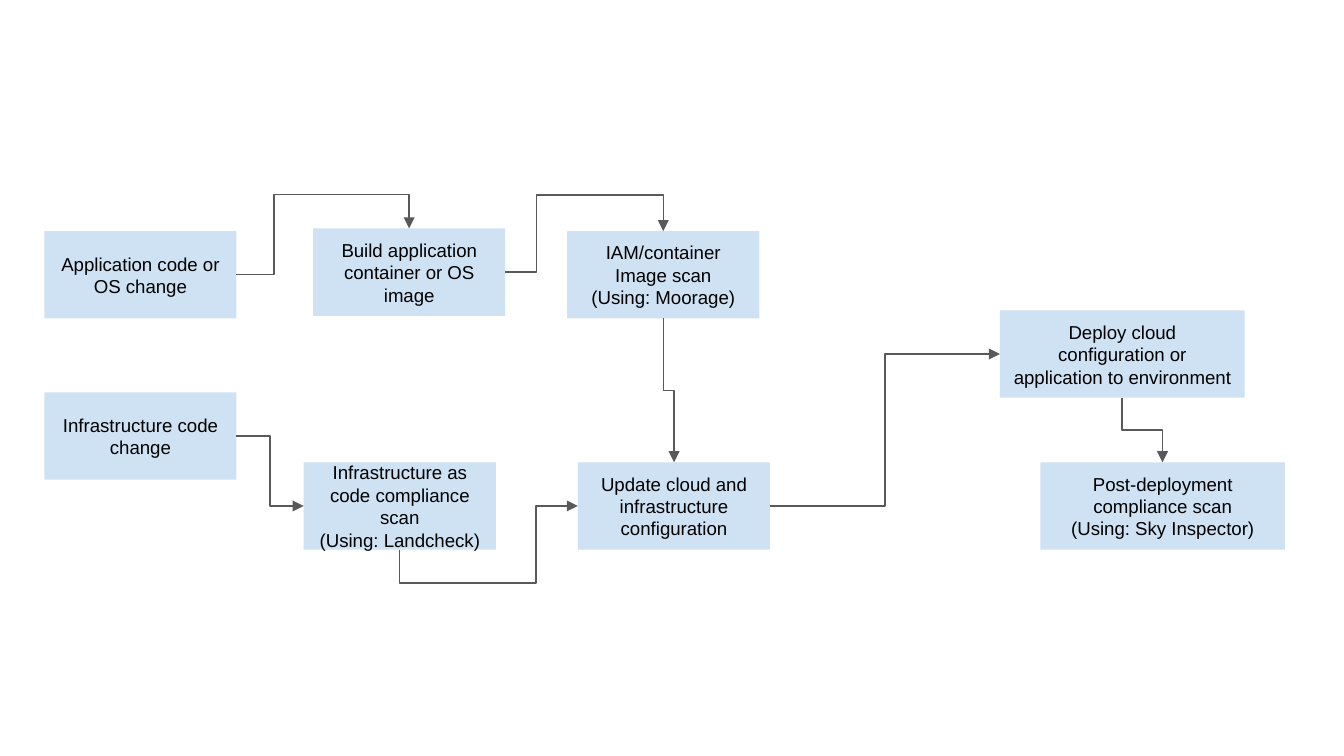
from dataclasses import dataclass

from lxml.etree import SubElement
from pptx import Presentation
from pptx.dml.color import RGBColor
from pptx.enum.shapes import MSO_CONNECTOR, MSO_SHAPE
from pptx.enum.text import MSO_ANCHOR, PP_ALIGN
from pptx.oxml.ns import qn
from pptx.slide import Slide
from pptx.util import Inches, Pt

PALE_BLUE = RGBColor(0xCF, 0xE2, 0xF3)
GREY = RGBColor(0x59, 0x59, 0x59)
BLACK = RGBColor(0, 0, 0)

BOX_HEIGHT = 0.65
NARROW, WIDE = 1.43, 1.82
TOP, LEFT, BOTTOM, RIGHT = range(4)


@dataclass(frozen=True)
class Step:
    lines: tuple[str, ...]
    left: float
    top: float
    width: float = NARROW

    def side(self, side: int) -> tuple[float, float]:
        """Middle point of one side, in inches."""
        middle_x = self.left + self.width / 2
        middle_y = self.top + BOX_HEIGHT / 2
        return {
            TOP: (middle_x, self.top),
            LEFT: (self.left, middle_y),
            BOTTOM: (middle_x, self.top + BOX_HEIGHT),
            RIGHT: (self.left + self.width, middle_y),
        }[side]


@dataclass(frozen=True)
class Flow:
    """An elbow arrow; bend is the (x, y) of its two free segments, if any."""
    source: Step
    source_side: int
    target: Step
    target_side: int
    bend: tuple[float, float] | None = None


APP_CHANGE = Step(("Application code or OS change",), 0.33, 1.72)
INFRA_CHANGE = Step(("Infrastructure code change",), 0.33, 2.92)
BUILD = Step(("Build application container or OS image",), 2.33, 1.7)
IMAGE_SCAN = Step(("IAM/container", "Image scan", "(Using: Moorage)"), 4.22, 1.72)
CODE_SCAN = Step(("Infrastructure as code compliance scan", "(Using: Landcheck)"), 2.26, 3.44)
UPDATE = Step(("Update cloud and infrastructure configuration",), 4.3, 3.44)
DEPLOY = Step(("Deploy cloud configuration or application to environment",), 7.44, 2.31, WIDE)
POST_SCAN = Step(("Post-deployment compliance scan", "(Using: Sky Inspector)"), 7.74, 3.44, WIDE)

STEPS = (BUILD, DEPLOY, UPDATE, APP_CHANGE, INFRA_CHANGE, IMAGE_SCAN, CODE_SCAN, POST_SCAN)
FLOWS = (
    Flow(APP_CHANGE, RIGHT, BUILD, TOP, (2.04, 1.45)),
    Flow(INFRA_CHANGE, RIGHT, CODE_SCAN, LEFT),
    Flow(BUILD, RIGHT, IMAGE_SCAN, TOP, (3.99, 1.45)),
    Flow(UPDATE, RIGHT, DEPLOY, LEFT),
    Flow(IMAGE_SCAN, BOTTOM, UPDATE, TOP),
    Flow(CODE_SCAN, BOTTOM, UPDATE, LEFT, (3.99, 4.34)),
    Flow(DEPLOY, BOTTOM, POST_SCAN, TOP),
)


def draw_step(page: Slide, step: Step) -> None:
    box = page.shapes.add_shape(
        MSO_SHAPE.RECTANGLE, Inches(step.left), Inches(step.top),
        Inches(step.width), Inches(BOX_HEIGHT))
    box.shadow.inherit = False
    box.fill.solid()
    box.fill.fore_color.rgb = PALE_BLUE
    box.line.fill.background()

    frame = box.text_frame
    frame.word_wrap = True
    frame.vertical_anchor = MSO_ANCHOR.MIDDLE
    frame.margin_left = frame.margin_right = Inches(0.1)
    frame.margin_top = frame.margin_bottom = Inches(0.1)
    frame.text = "\n".join(step.lines)
    for para in frame.paragraphs:
        para.alignment = PP_ALIGN.CENTER
        para.font.name = "Arial"
        para.font.size = Pt(10)
        para.font.color.rgb = BLACK


def draw_flow(page: Slide, flow: Flow) -> None:
    x1, y1 = flow.source.side(flow.source_side)
    x2, y2 = flow.target.side(flow.target_side)
    width, height = x2 - x1, y2 - y1
    arrow = page.shapes.add_connector(
        MSO_CONNECTOR.ELBOW, Inches(x1), Inches(y1), Inches(x2), Inches(y2))
    arrow.line.color.rgb = GREY
    arrow.line.width = Pt(0.75)
    properties = arrow._element.spPr
    SubElement(properties.find(qn("a:ln")), qn("a:tailEnd"), type="triangle")
    SubElement(properties, qn("a:effectLst"))

    starts_down = flow.source_side == BOTTOM
    if starts_down:
        # The preset starts sideways, so its frame is turned about its centre.
        arrow.left = Inches((x1 + x2 - abs(height)) / 2)
        arrow.top = Inches((y1 + y2 - abs(width)) / 2)
        arrow.width, arrow.height = Inches(abs(height)), Inches(abs(width))
        frame = properties.find(qn("a:xfrm"))
        frame.set("rot", str((270 if height > 0 else 90) * 60000))
        frame.set("flipH", "1")
        frame.set("flipV", "0" if height > 0 else "1")

    if flow.bend:
        shares = [(flow.bend[0] - x1) / width, (flow.bend[1] - y1) / height]
        if starts_down:
            shares.reverse()
        geometry = properties.find(qn("a:prstGeom"))
        geometry.set("prst", "bentConnector4")
        guides = geometry.find(qn("a:avLst"))
        for number, share in enumerate(shares, start=1):
            SubElement(guides, qn("a:gd"), name=f"adj{number}",
                       fmla=f"val {round(share * 100000)}")


def main() -> None:
    deck = Presentation()
    deck.slide_width = Inches(10)
    deck.slide_height = Inches(10 * 9 / 16)
    page = deck.slides.add_slide(deck.slide_layouts[6])
    for step in STEPS:
        draw_step(page, step)
    for flow in FLOWS:
        draw_flow(page, flow)
    deck.save("out.pptx")


if __name__ == "__main__":
    main()
